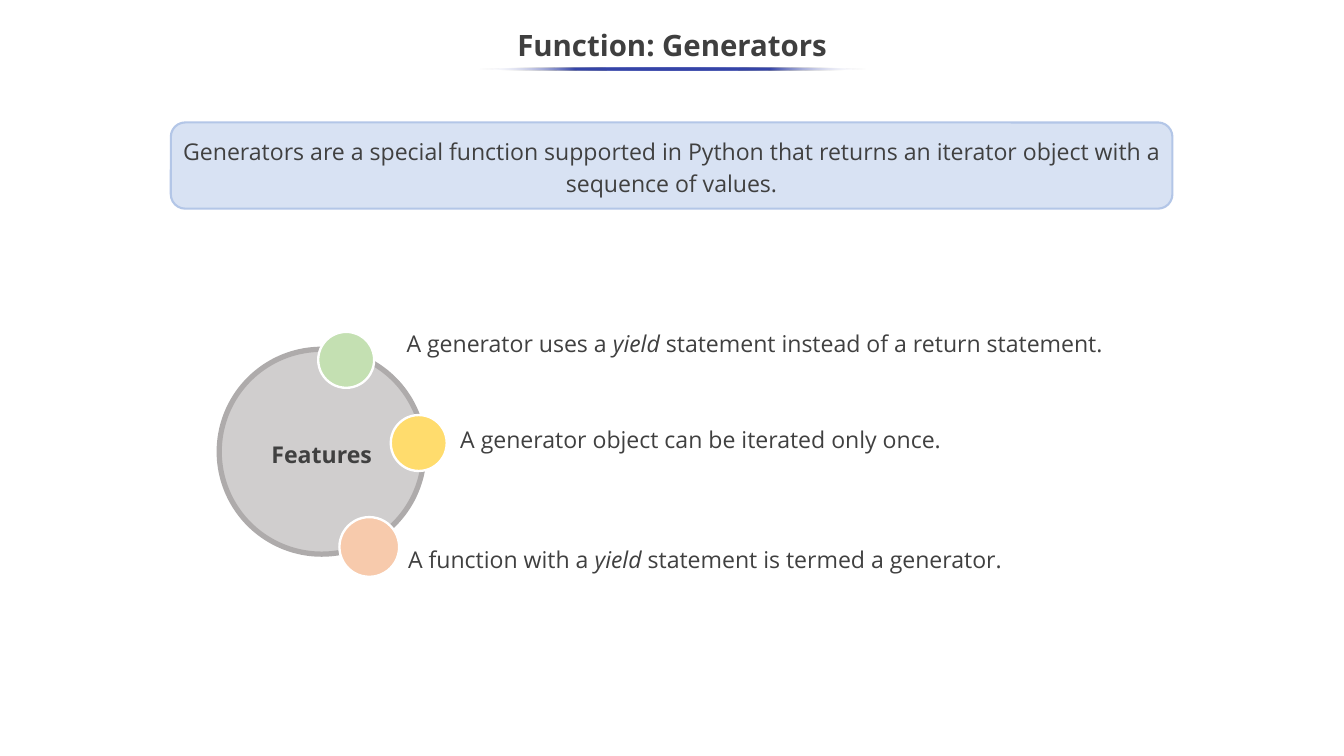
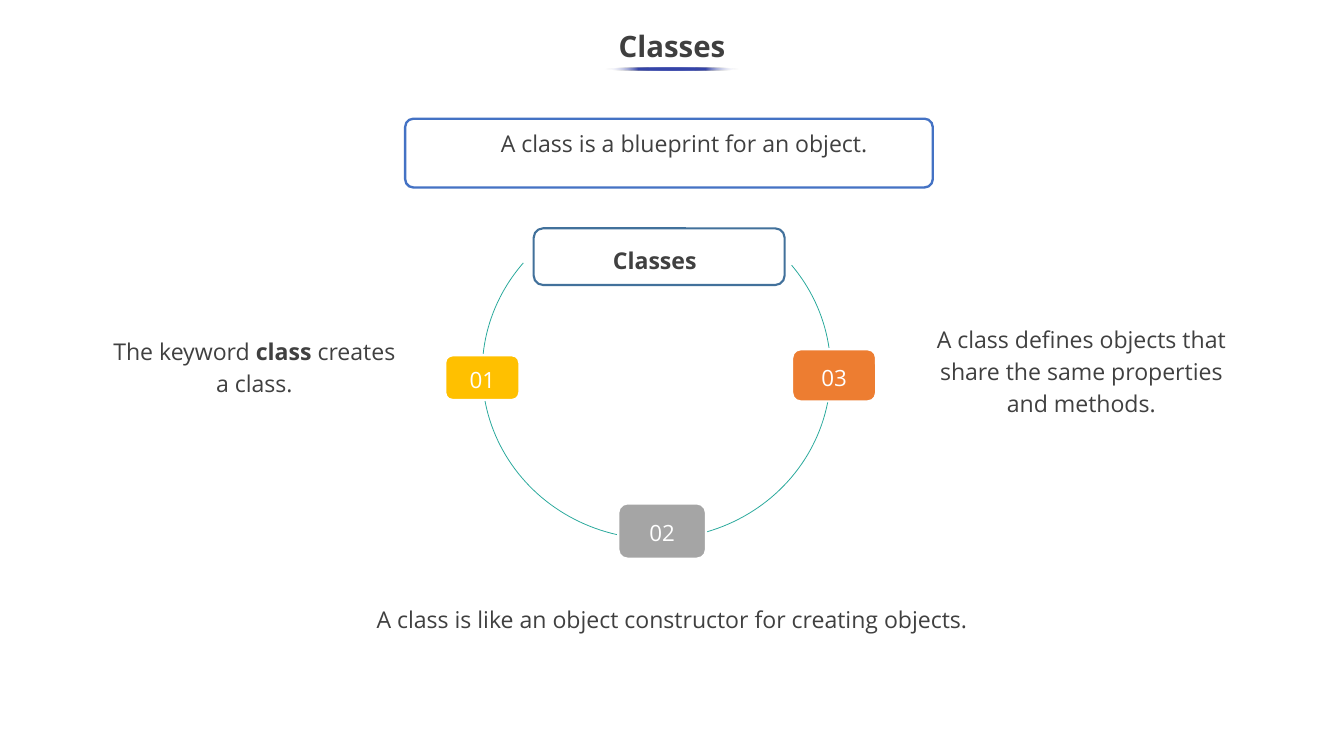
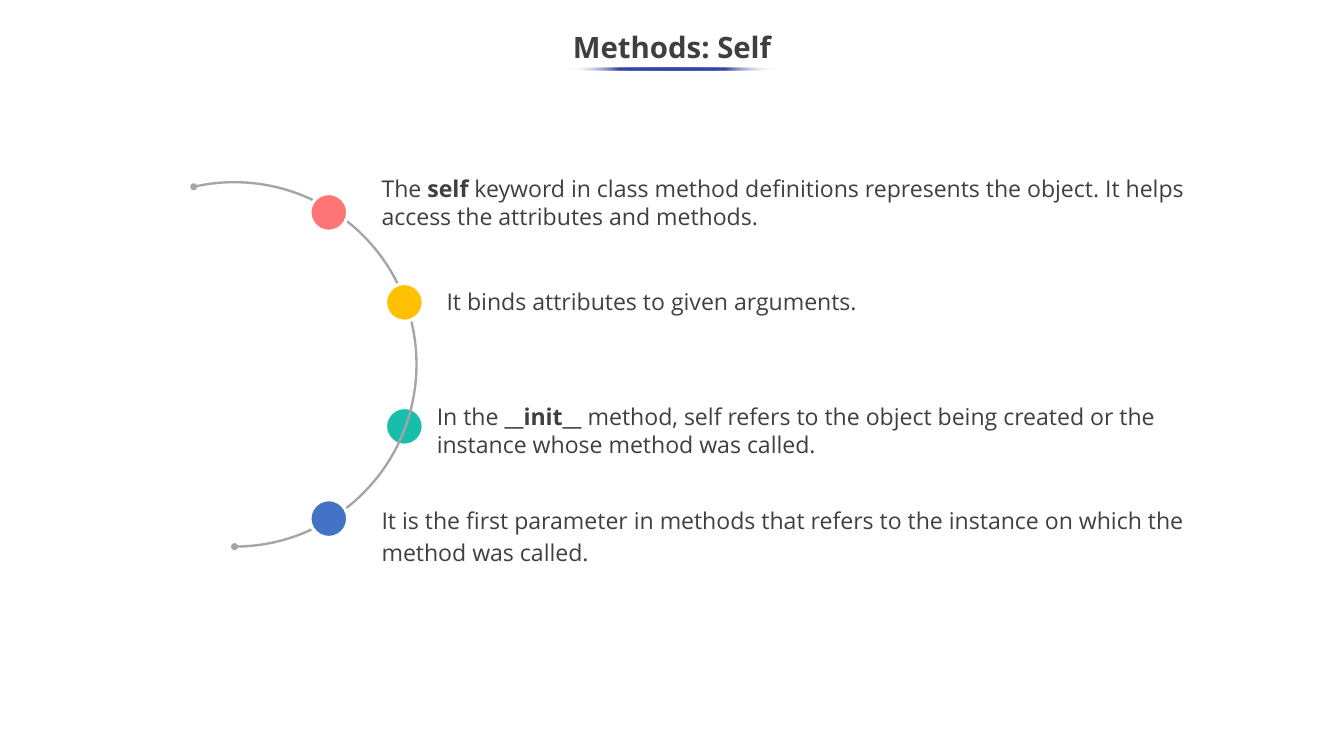
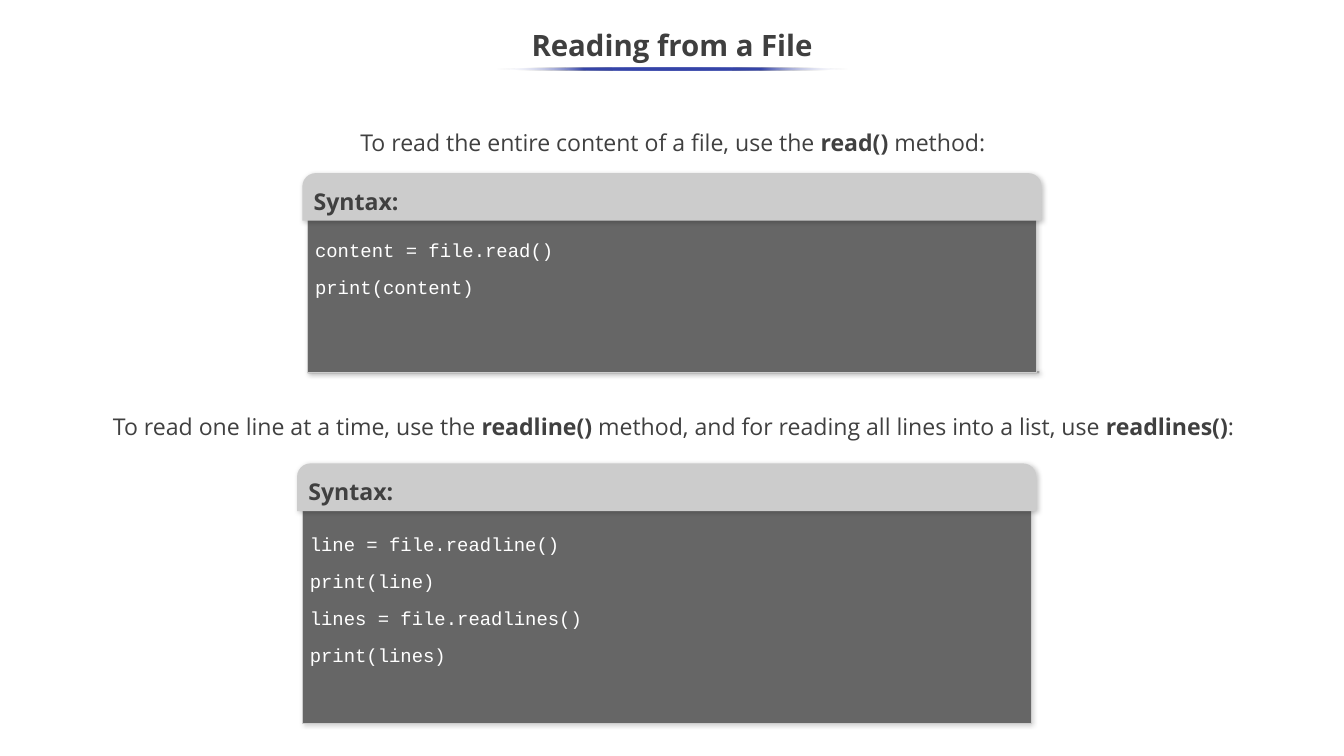
import pptx
import pptx.dml.color
import pptx.enum.shapes
import pptx.enum.text
import pptx.oxml
import pptx.oxml.ns
import pptx.util

RGBColor = pptx.dml.color.RGBColor
Inches = pptx.util.Inches
KIND = pptx.enum.shapes.MSO_SHAPE
ALIGN = pptx.enum.text.PP_ALIGN
ANCHOR = pptx.enum.text.MSO_ANCHOR

WHITE = RGBColor(0xFF, 0xFF, 0xFF)
TITLE_INK = RGBColor(0x3F, 0x3F, 0x3F)
INK = RGBColor(0x40, 0x40, 0x40)
PALE_BLUE = RGBColor(0xD8, 0xE2, 0xF3)
SOFT_BLUE = RGBColor(0xB3, 0xC6, 0xE7)
BLUE = RGBColor(0x44, 0x72, 0xC4)
STEEL = RGBColor(0x42, 0x71, 0x9B)
TEAL_LINE = RGBColor(0x27, 0xA8, 0x9B)
TEAL = RGBColor(0x17, 0xBF, 0xAB)
GOLD = RGBColor(0xFF, 0xC0, 0x00)
YELLOW = RGBColor(0xFF, 0xDC, 0x6D)
ORANGE = RGBColor(0xED, 0x7D, 0x31)
PEACH = RGBColor(0xF7, 0xCA, 0xAC)
GREEN = RGBColor(0xC4, 0xE0, 0xB2)
RED = RGBColor(0xFF, 0x75, 0x75)
GRAY = RGBColor(0xA5, 0xA5, 0xA5)
DISC_GRAY = RGBColor(0xD0, 0xCE, 0xCE)
RING_GRAY = RGBColor(0xAE, 0xAB, 0xAB)
CODE_GRAY = RGBColor(0x66, 0x66, 0x66)
HEADER_GRAY = RGBColor(0xCC, 0xCC, 0xCC)
EDGE_GRAY = RGBColor(0xB7, 0xB7, 0xB7)

NAMESPACE = pptx.oxml.ns.nsdecls("a")
UNDERLINE_STOPS = f"""<a:gsLst {NAMESPACE}>
<a:gs pos="0"><a:srgbClr val="FFFFFF"><a:alpha val="0"/></a:srgbClr></a:gs>
<a:gs pos="25000"><a:srgbClr val="3645A9"/></a:gs>
<a:gs pos="75000"><a:srgbClr val="3645A9"/></a:gs>
<a:gs pos="100000"><a:srgbClr val="FFFFFF"><a:alpha val="0"/></a:srgbClr></a:gs>
</a:gsLst>"""
SHADOW = f"""<a:outerShdw {NAMESPACE} blurRad="57150" dist="19050" dir="2820000" algn="bl" rotWithShape="0">
<a:srgbClr val="000000"><a:alpha val="20000"/></a:srgbClr></a:outerShdw>"""


def add_box(page, kind, at, fill=None, line=None, weight=1, adjust=(), shadow=False):
    lengths = [Inches(length) for length in at]
    if kind is None:
        return page.shapes.add_textbox(*lengths)
    shape = page.shapes.add_shape(kind, *lengths)
    shape.shadow.inherit = False
    for index, value in enumerate(adjust):
        shape.adjustments[index] = value
    if fill is None:
        shape.fill.background()
    else:
        shape.fill.solid()
        shape.fill.fore_color.rgb = fill
    if line is None:
        shape.line.fill.background()
    else:
        shape.line.color.rgb = line
        shape.line.width = pptx.util.Pt(weight)
    if shadow:
        effects = shape._element.spPr.find(pptx.oxml.ns.qn("a:effectLst"))
        effects.append(pptx.oxml.parse_xml(SHADOW))
    return shape


def write_text(box, text, size=22, color=INK, font="Open Sans", bold=False, emphasis="bold",
               align=ALIGN.LEFT, anchor=ANCHOR.TOP, spacing=1.15, gap=0,
               insets=(0.1, 0.05, 0.1, 0.05)):
    frame = box.text_frame
    frame.word_wrap = True
    frame.vertical_anchor = anchor
    frame.margin_left, frame.margin_top, frame.margin_right, frame.margin_bottom = map(Inches, insets)
    for row, line in enumerate(text.split("\n")):
        para = frame.add_paragraph() if row else frame.paragraphs[0]
        para.alignment = align
        para.line_spacing = spacing
        para.space_before = pptx.util.Pt(gap if row else 0)
        for index, part in enumerate(line.split("*")):
            span = para.add_run()
            span.text = part
            span.font.name = font
            span.font.size = pptx.util.Pt(size)
            span.font.color.rgb = color
            span.font.bold = bold
            if index % 2:
                setattr(span.font, emphasis, True)


deck = pptx.Presentation()
deck.slide_width = Inches(17.78)
deck.slide_height = Inches(10)

pages = []
for title, top, spacing, underline_left, underline_width in [
    ("Function: Generators", 0.25, 0.9, 6.33, 5.13),
    ("Classes", 0.19, 1.15, 8.01, 1.76),
    ("Methods: Self", 0.27, 0.9, 7.49, 2.79),
    ("Reading from a File", 0.25, 0.9, 6.57, 4.66),
]:
    page = deck.slides.add_slide(deck.slide_layouts[6])
    write_text(add_box(page, None, (0, top, 17.78, 0.75)), title, size=28, color=TITLE_INK,
               bold=True, align=ALIGN.CENTER, anchor=ANCHOR.MIDDLE, spacing=spacing)
    underline = add_box(page, KIND.OVAL, (underline_left, 0.89, underline_width, 0.04))
    underline.fill.gradient()
    underline.fill.gradient_angle = 0
    gradient = underline._element.spPr.find(pptx.oxml.ns.qn("a:gradFill"))
    gradient.replace(gradient.find(pptx.oxml.ns.qn("a:gsLst")), pptx.oxml.parse_xml(UNDERLINE_STOPS))
    pages.append(page)

generators, classes, methods, reading = pages

definition = add_box(generators, KIND.ROUNDED_RECTANGLE, (2.26, 1.62, 13.25, 1.14),
                     PALE_BLUE, SOFT_BLUE, 2)
write_text(definition, "Generators are a special function supported in Python that returns an "
           "iterator object with a sequence of values.", align=ALIGN.CENTER, anchor=ANCHOR.MIDDLE)
hub = add_box(generators, KIND.OVAL, (2.9, 4.62, 2.71, 2.71), DISC_GRAY, RING_GRAY, 5)
write_text(hub, "Features", bold=True, align=ALIGN.CENTER, anchor=ANCHOR.MIDDLE)
for left, top, size, color, text_at, text in [
    (4.49, 6.84, 0.79, PEACH, (5.3, 7.11, 8.89, 0.53),
     "A function with a *yield* statement is termed a generator."),
    (4.21, 4.39, 0.74, GREEN, (5.28, 4.26, 10.32, 0.53),
     "A generator uses a *yield* statement instead of a return statement."),
    (5.17, 5.49, 0.74, YELLOW, (5.99, 5.53, 8.89, 0.53),
     "A generator object can be iterated only once."),
]:
    add_box(generators, KIND.OVAL, (left, top, size, size), color, WHITE, 2.25)
    write_text(add_box(generators, None, text_at), text, emphasis="italic")

blueprint = add_box(classes, KIND.ROUNDED_RECTANGLE, (5.36, 1.57, 6.98, 0.91),
                    line=BLUE, weight=2.25, adjust=[0.12])
write_text(blueprint, "A class is a blueprint for an object.", align=ALIGN.CENTER,
           insets=(0.5, 0.05, 0.1, 0.05))
add_box(classes, KIND.ARC, (6.38, 2.69, 4.61, 4.44), line=TEAL_LINE, weight=0.75,
        adjust=[193.13, 131.47])
for number, at, color in [
    ("03", (10.48, 4.62, 1.11, 0.69), ORANGE),
    ("02", (8.18, 6.66, 1.16, 0.73), GRAY),
    ("01", (5.89, 4.7, 0.98, 0.59), GOLD),
]:
    badge = add_box(classes, KIND.ROUNDED_RECTANGLE, at, color, WHITE, 2)
    write_text(badge, number, size=21.3, color=WHITE, align=ALIGN.CENTER, anchor=ANCHOR.MIDDLE,
               insets=[0.26] * 4)
for at, text, anchor, insets in [
    ((12.11, 4.16, 4.39, 1.61), "A class defines objects that share the same properties and methods.",
     ANCHOR.TOP, (0.18, 0.09, 0.18, 0.09)),
    ((1.28, 4.36, 4.17, 0.95), "The keyword *class* creates a class.",
     ANCHOR.MIDDLE, (0.1, 0.05, 0.1, 0.05)),
    ((4.28, 7.9, 9.22, 0.53), "A class is like an object constructor for creating objects.",
     ANCHOR.MIDDLE, (0.1, 0.05, 0.1, 0.05)),
]:
    write_text(add_box(classes, None, at), text, align=ALIGN.CENTER, anchor=anchor, insets=insets)
write_text(add_box(classes, None, (8.01, 3.16, 1.68, 0.53)), "Classes", bold=True)
add_box(classes, KIND.ROUNDED_RECTANGLE, (7.06, 3.02, 3.32, 0.75), line=STEEL, weight=2)

add_box(methods, KIND.OVAL, (5.1, 5.39, 0.5, 0.5), TEAL, WHITE, 3)
curve = add_box(methods, KIND.ARC, (0.69, 2.41, 4.82, 4.82), line=GRAY, weight=2.25,
                adjust=[154.27, 53.96])
for end in ("headEnd", "tailEnd"):
    curve.line._get_or_add_ln().append(pptx.oxml.parse_xml(f'<a:{end} {NAMESPACE} type="oval"/>'))
for left, top, color in [(4.1, 2.56, RED), (4.1, 6.61, BLUE), (5.1, 3.75, GOLD)]:
    add_box(methods, KIND.OVAL, (left, top, 0.5, 0.5), color, WHITE, 3)
write_text(add_box(methods, None, (5.81, 3.75, 11.27, 0.47)),
           "It binds attributes to given arguments.", spacing=1)
write_text(add_box(methods, None, (4.95, 6.59, 11.86, 0.95)),
           "It is the first parameter in methods that refers to the instance on which the "
           "method was called.")
for at, text in [
    ((4.95, 2.26, 11.27, 0.84), "The *self* keyword in class method definitions represents the "
     "object. It helps access the attributes and methods."),
    ((5.68, 5.27, 10.26, 0.84), "In the *__init__ *method, self refers to the object being created "
     "or the instance whose method was called."),
]:
    write_text(add_box(methods, KIND.RECTANGLE, at, WHITE), text, color=TITLE_INK,
               anchor=ANCHOR.MIDDLE, spacing=1)

write_text(add_box(reading, None, (1.41, 1.65, 14.98, 0.99)),
           "To read the entire content of a file, use the *read()* method:",
           align=ALIGN.CENTER, insets=(0.1, 0, 0.1, 0))
write_text(add_box(reading, None, (1.08, 5.35, 15.66, 0.53)),
           "To read one line at a time, use the *readline()* method, and for reading all lines "
           "into a list, use *readlines()*:", align=ALIGN.CENTER)
add_box(reading, KIND.RECTANGLE, (4.07, 4.91, 9.68, 0.03), EDGE_GRAY, shadow=True)
for left, top, height, code_top, code_height, code_inset, code in [
    (4.07, 2.48, 2.44, 2.61, 1.66, 0.5, "content = file.read()\nprint(content)"),
    (4, 6.32, 3.25, 6.95, 2.24, 0.05,
     "line = file.readline()\nprint(line)\nlines = file.readlines()\nprint(lines)"),
]:
    add_box(reading, KIND.RECTANGLE, (left, top, 9.64, height), CODE_GRAY, HEADER_GRAY, 0.75,
            shadow=True)
    header = add_box(reading, KIND.ROUND_2_SAME_RECTANGLE, (left - 0.07, top - 0.19, 9.78, 0.63),
                     HEADER_GRAY, adjust=[0.28, 0], shadow=True)
    write_text(header, "Syntax:", bold=True, anchor=ANCHOR.MIDDLE, insets=[0.1] * 4)
    write_text(add_box(reading, None, (left, code_top, 9.64, code_height)), code, size=18,
               color=WHITE, font="Courier New", spacing=1.14, gap=10.7,
               insets=(0.1, code_inset, 0.1, 0.05))

deck.save("out.pptx")
